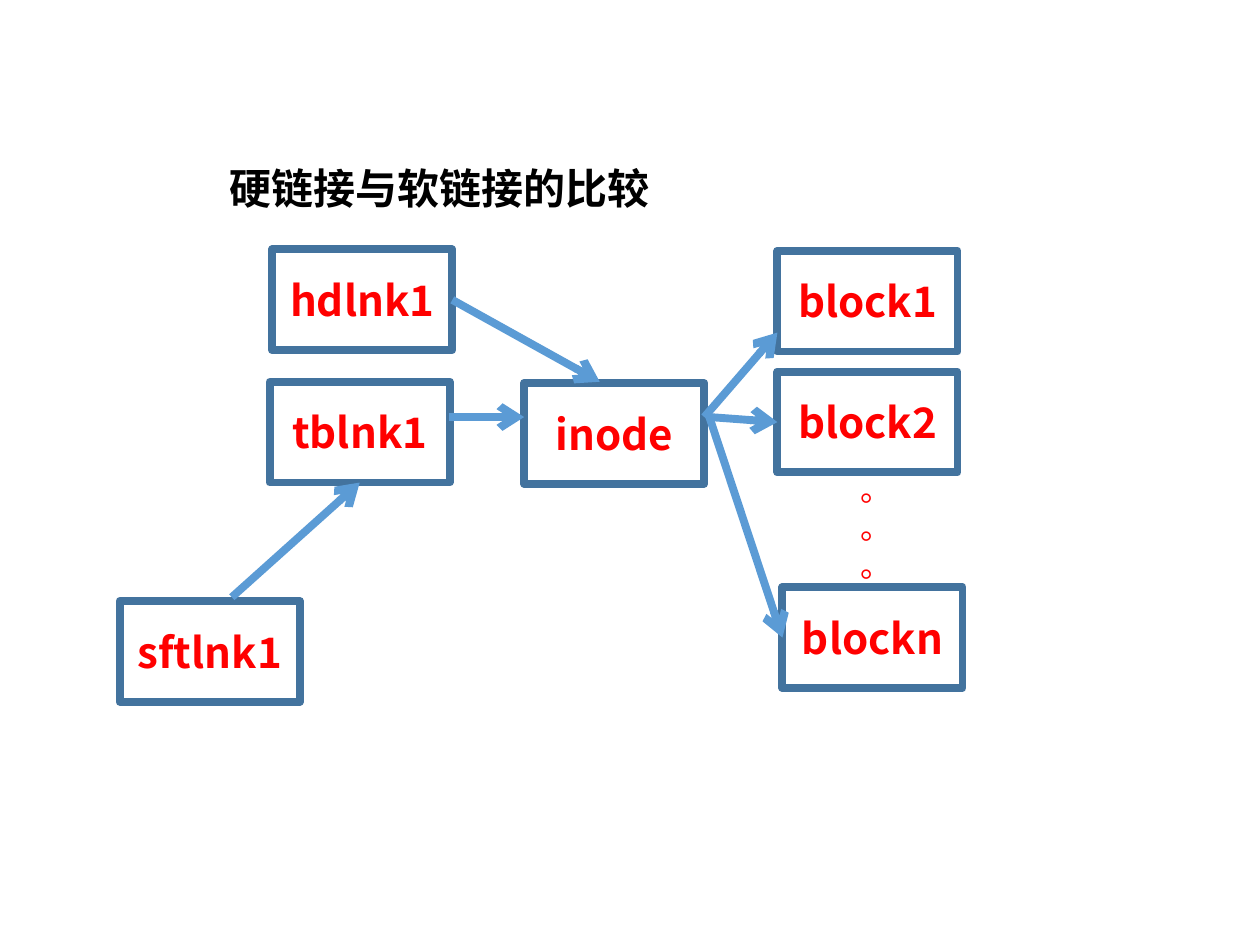
import pptx
import pptx.dml.color
import pptx.enum.shapes
import pptx.enum.text
import pptx.oxml.ns
import pptx.util
from lxml import etree
from pptx.util import Inches

FONT = "Noto Sans CJK SC"
RED, BLACK, WHITE = "FF0000", "000000", "FFFFFF"
BORDER, ARROW = "43739E", "5B9BD5"
NODE_W, NODE_H = 1.43, 0.8
TOP, LEFT, BOTTOM, RIGHT = range(4)

# Left and top of each node, in inches
NODES = {
    "inode": (4.16, 3.04),
    "block1": (6.17, 1.99),
    "block2": (6.17, 2.95),
    "blockn": (6.21, 4.66),
    "hdlnk1": (2.16, 1.98),
    "tblnk1": (2.14, 3.03),
    "sftlnk1": (0.95, 4.77),
}

# Each end is a point in inches or a (node, side) joint
LINKS = [
    (("hdlnk1", RIGHT), (4.76, 3.03)),
    ((3.56, 3.31), (4.16, 3.31)),
    ((1.84, 4.74), ("tblnk1", BOTTOM)),
    ((5.59, 3.31), (6.17, 2.64)),
    ((5.63, 3.31), ("block2", LEFT)),
    ((5.63, 3.31), ("blockn", LEFT)),
]


def color(value):
    return pptx.dml.color.RGBColor.from_string(value)


def add_text(paragraph, text, size, ink, bold=False):
    run = paragraph.add_run()
    run.text = text
    formats = {"name": FONT, "size": pptx.util.Pt(size), "bold": bold}
    for key, value in formats.items():
        setattr(run.font, key, value)
    run.font.color.rgb = color(ink)
    # East Asian typeface
    etree.SubElement(run.font._element, pptx.oxml.ns.qn("a:ea"), typeface=FONT)


def add_title(slide, left, top, width, height):
    title = slide.shapes.add_textbox(*map(Inches, (left, top, width, height)))
    title.text_frame.word_wrap = True
    add_text(title.text_frame.paragraphs[0], "硬链接与软链接的比较", 24, BLACK, True)


def add_node(slide, label, left, top):
    node = slide.shapes.add_shape(
        pptx.enum.shapes.MSO_SHAPE.RECTANGLE,
        *map(Inches, (left, top, NODE_W, NODE_H)))
    node.shadow.inherit = False
    node.fill.solid()
    node.fill.fore_color.rgb = color(WHITE)
    node.line.color.rgb = color(BORDER)
    node.line.width = pptx.util.Pt(4.5)
    node.text_frame.vertical_anchor = pptx.enum.text.MSO_ANCHOR.MIDDLE
    paragraph = node.text_frame.paragraphs[0]
    paragraph.alignment = pptx.enum.text.PP_ALIGN.CENTER
    add_text(paragraph, label, 24, RED, True)
    return node


def add_link(slide, nodes, start, end):
    points = [(0, 0) if point[0] in nodes else point for point in (start, end)]
    link = slide.shapes.add_connector(
        pptx.enum.shapes.MSO_CONNECTOR.STRAIGHT,
        *(Inches(value) for point in points for value in point))
    for point, connect in ((start, link.begin_connect), (end, link.end_connect)):
        if point[0] in nodes:
            connect(nodes[point[0]], point[1])
    link.line.color.rgb = color(ARROW)
    link.line.width = pptx.util.Pt(4.5)
    # Arrowhead, and no theme shadow
    etree.SubElement(link.line._get_or_add_ln(),
                     pptx.oxml.ns.qn("a:tailEnd"), type="arrow")
    etree.SubElement(link._element.spPr, pptx.oxml.ns.qn("a:effectLst"))


def add_ellipsis(slide, left, top, width, height):
    dots = slide.shapes.add_textbox(*map(Inches, (left, top, width, height)))
    frame = dots.text_frame
    frame.word_wrap = True
    frame.vertical_anchor = pptx.enum.text.MSO_ANCHOR.MIDDLE
    for index in range(3):
        paragraph = frame.add_paragraph() if index else frame.paragraphs[0]
        paragraph.alignment = pptx.enum.text.PP_ALIGN.CENTER
        paragraph.line_spacing = pptx.util.Pt(21.7)
        add_text(paragraph, "。", 18, RED)


def main():
    deck = pptx.Presentation()
    deck.slide_width, deck.slide_height = Inches(10), Inches(7.5)
    slide = deck.slides.add_slide(deck.slide_layouts[6])
    add_title(slide, 1.72, 1.24, 3.91, 0.5)
    nodes = {label: add_node(slide, label, *corner)
             for label, corner in NODES.items()}
    for start, end in LINKS:
        add_link(slide, nodes, start, end)
    add_ellipsis(slide, 6.4, 3.83, 1.11, 0.7)
    deck.save("out.pptx")


if __name__ == "__main__":
    main()
